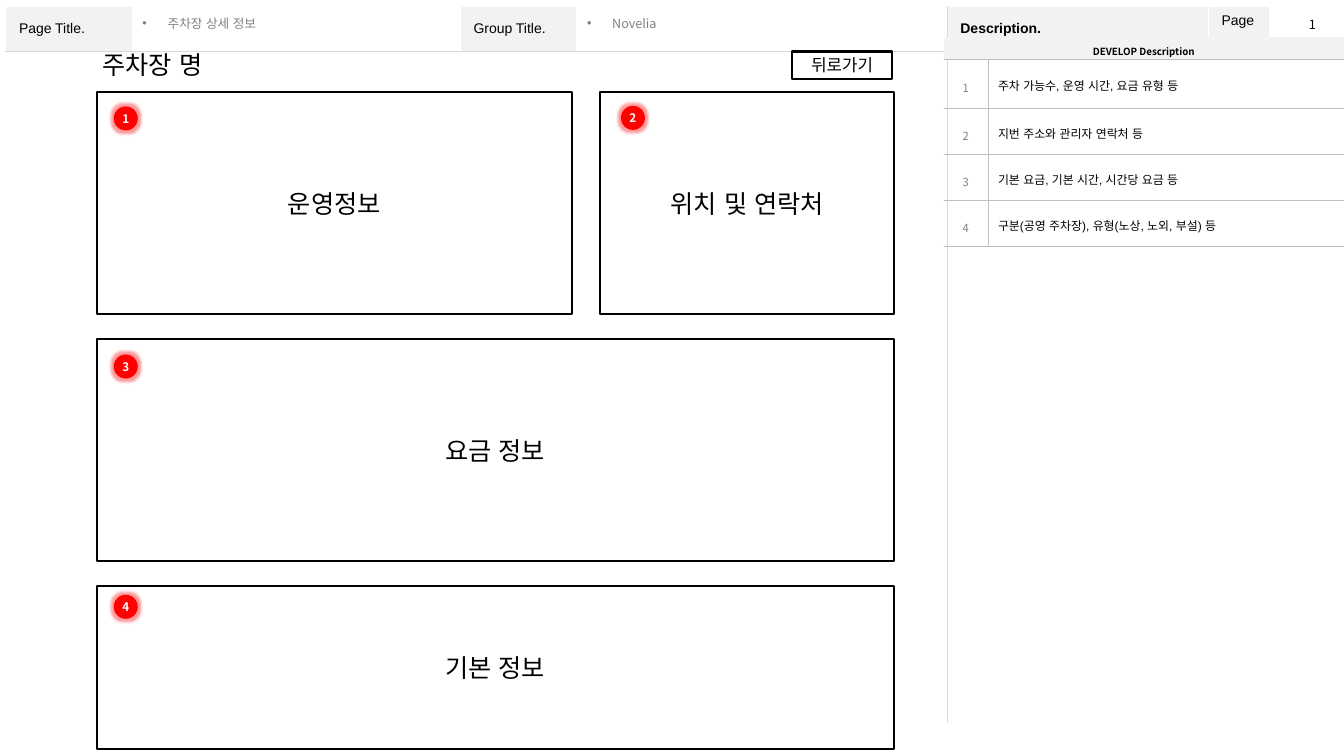
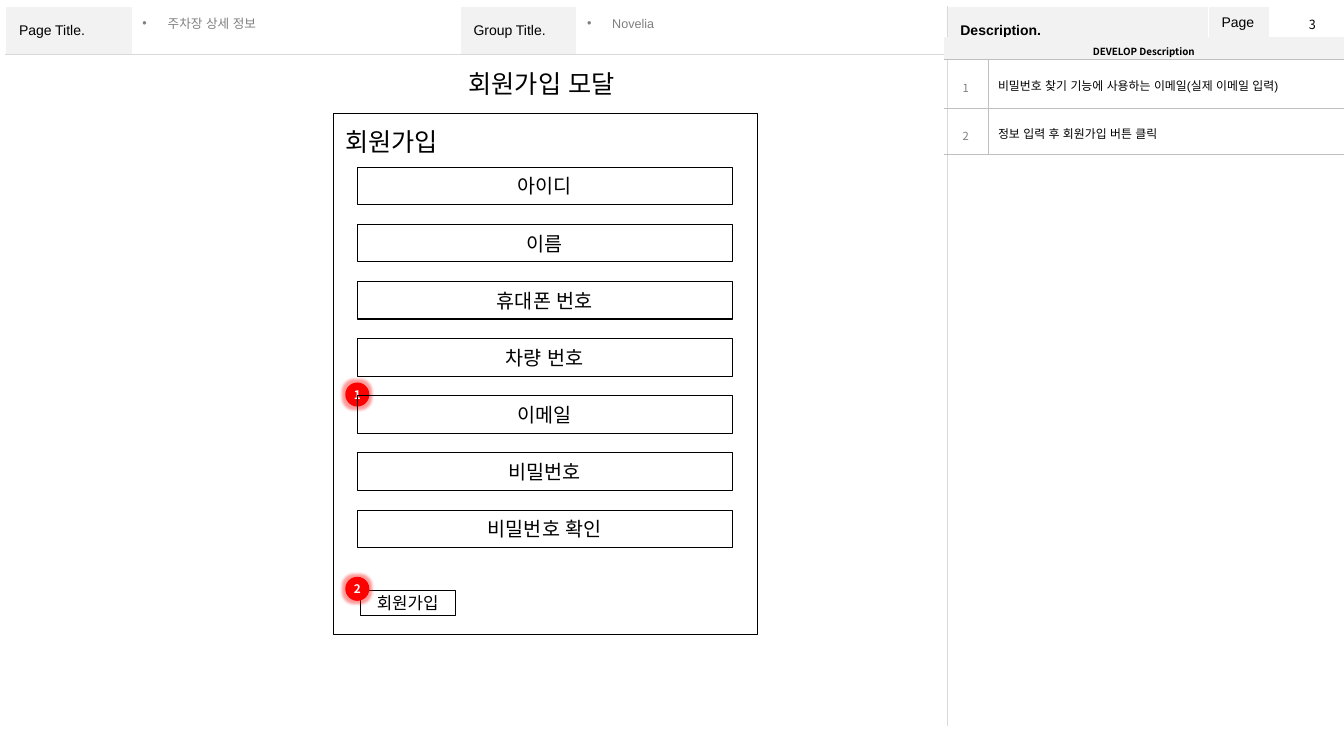
from dataclasses import dataclass

from lxml import etree
from pptx import Presentation
from pptx.dml.color import RGBColor as Rgb
from pptx.enum.lang import MSO_LANGUAGE_ID as Language
from pptx.enum.shapes import MSO_SHAPE as Shape
from pptx.enum.text import MSO_ANCHOR as Anchor, PP_ALIGN as Align
from pptx.oxml.ns import qn
from pptx.util import Pt


@dataclass(frozen=True)
class Theme:
    sans: str = "Arial"
    korean: str = "Noto Sans CJK KR"
    ink: str = "000000"
    muted: str = "808080"
    paper: str = "FFFFFF"
    band: str = "F2F2F2"
    frame_rule: str = "D9D9D9"
    note_rule: str = "BFBFBF"
    marker: str = "FF0000"
    heading: float = 18
    field: float = 14
    button: float = 12
    label: float = 10
    meta: float = 9
    note: float = 8.5
    badge: float = 8.4
    note_number: float = 8
    note_heading: float = 7
    hairline: float = 0.25
    thin: float = 0.75
    medium: float = 1.5


@dataclass(frozen=True)
class Box:
    x: float
    y: float
    w: float
    h: float

    def inner(self, dx, dy, w, h):
        return Box(self.x + dx, self.y + dy, w, h)

    def emu(self):
        return Pt(self.x), Pt(self.y), Pt(self.w), Pt(self.h)


THEME = Theme()
PAGE = Box(0, 0, 960, 540)
HEADER = Box(4.2, 4.7, 952, 512)
NOTES = Box(674, 26.2, 286, 216)
DETAIL = Box(69, 66, 569.6, 468.8)
MODAL = Box(238.4, 80.8, 303, 372.4)
HEADER_COLUMNS = (90.7, 234, 82.8, 265, 186.5, 43.9, 49)
HEADER_BODY = 480
NOTE_COLUMNS = (31.7, 254.3)
NOTE_ROWS = (16.4, 34.6, 33, 33, 33, 66)
BADGE = 17.2


def write(frame, text, size, font=THEME.korean, color=THEME.ink, bold=False,
          align=Align.LEFT, spacing=None):
    paragraph = frame.paragraphs[0]
    paragraph.text = text
    paragraph.alignment = align
    if spacing:
        paragraph.line_spacing = spacing
    paragraph.font.size = Pt(size)
    paragraph.font.bold = bold
    paragraph.font.name = font
    paragraph.font.language_id = Language.KOREAN
    paragraph.font.color.rgb = Rgb.from_string(color)
    defaults = paragraph._p.pPr.find(qn("a:defRPr"))
    etree.SubElement(defaults, qn("a:ea"), typeface=THEME.korean)
    return paragraph


def add_text(slide, box, text, size, **style):
    frame = slide.shapes.add_textbox(*box.emu()).text_frame
    frame.word_wrap = True
    frame.vertical_anchor = Anchor.MIDDLE
    return write(frame, text, size, **style)


def add_outline(slide, box, text="", size=THEME.heading, weight=THEME.thin):
    outline = slide.shapes.add_shape(Shape.RECTANGLE, *box.emu())
    outline.shadow.inherit = False
    outline.fill.background()
    outline.line.color.rgb = Rgb.from_string(THEME.ink)
    outline.line.width = Pt(weight)
    if text:
        outline.text_frame.vertical_anchor = Anchor.MIDDLE
        write(outline.text_frame, text, size, align=Align.CENTER)


def add_badge(slide, x, y, number):
    badge = slide.shapes.add_shape(Shape.OVAL, *Box(x, y, BADGE, BADGE).emu())
    badge.shadow.inherit = False
    badge.fill.solid()
    badge.fill.fore_color.rgb = Rgb.from_string(THEME.marker)
    badge.line.fill.background()
    effects = badge._element.spPr.find(qn("a:effectLst"))
    glow = etree.SubElement(effects, qn("a:glow"), rad=str(Pt(4)))
    tint = etree.SubElement(glow, qn("a:srgbClr"), val=THEME.marker)
    etree.SubElement(tint, qn("a:alpha"), val="40000")
    frame = badge.text_frame
    frame.word_wrap = False
    frame.vertical_anchor = Anchor.MIDDLE
    frame.margin_left = frame.margin_right = 0
    frame.margin_top = frame.margin_bottom = 0
    write(frame, str(number), THEME.badge, color=THEME.paper, bold=True,
          align=Align.CENTER)


def add_grid(slide, box, columns, rows):
    grid = slide.shapes.add_table(len(rows), len(columns), *box.emu()).table
    grid.first_row = grid.horz_banding = False
    for column, width in zip(grid.columns, columns):
        column.width = Pt(width)
    for row, height in zip(grid.rows, rows):
        row.height = Pt(height)
    return grid


def dress(cell, margins, fill=None, **rules):
    properties = cell._tc.get_or_add_tcPr()
    for side in "LRTB":
        color, weight = rules.get(side) or (None, 0)
        line = etree.SubElement(properties, qn(f"a:ln{side}"), w=str(Pt(weight)))
        if color:
            solid = etree.SubElement(line, qn("a:solidFill"))
            etree.SubElement(solid, qn("a:srgbClr"), val=color)
        else:
            etree.SubElement(line, qn("a:noFill"))
    if fill:
        cell.fill.solid()
        cell.fill.fore_color.rgb = Rgb.from_string(fill)
    else:
        cell.fill.background()
    cell.vertical_anchor = Anchor.MIDDLE
    cell.margin_left = cell.margin_right = Pt(margins[0])
    cell.margin_top = cell.margin_bottom = Pt(margins[1])


def add_header(slide, box, band_height, page_number, meta_font):
    grid = add_grid(slide, box, HEADER_COLUMNS, (band_height, HEADER_BODY))
    grid.cell(1, 0).merge(grid.cell(1, 3))
    grid.cell(1, 4).merge(grid.cell(1, 6))
    labels = {0: "Page Title.", 2: "Group Title.", 4: "Description.", 5: "Page."}
    white = (THEME.paper, 1)
    gray = (THEME.frame_rule, THEME.hairline)
    for column in range(len(HEADER_COLUMNS)):
        title, body = grid.cell(0, column), grid.cell(1, column)
        dress(title, (9.4, 2), THEME.band if column in labels else None,
              L=gray if column == 4 else white, R=gray if column == 3 else white,
              T=white, B=gray)
        dress(body, (9.4, 2), L=gray if column >= 4 else white,
              R=gray if column < 4 else white, T=gray, B=white)
        if column in labels:
            write(title.text_frame, labels[column], THEME.label,
                  font=THEME.sans, bold=column == 4)
    for dx, width, entry in ((90.5, 233, "주차장 상세 정보"), (408, 262, "Novelia")):
        paragraph = add_text(slide, box.inner(dx, 3.9, width, 17.3), entry, THEME.meta,
                             font=meta_font, color=THEME.muted, spacing=0.9)
        properties = paragraph._p.pPr
        properties.set("marL", str(Pt(18)))
        properties.set("indent", str(-Pt(18)))
        defaults = properties.find(qn("a:defRPr"))
        defaults.addprevious(etree.Element(qn("a:buFont"), typeface=THEME.sans))
        defaults.addprevious(etree.Element(qn("a:buChar"), char="•"))
    add_text(slide, box.inner(918.2, 3.9, 30, 18), str(page_number),
             THEME.meta, align=Align.CENTER)


def add_notes(slide, box, notes):
    grid = add_grid(slide, box, NOTE_COLUMNS, NOTE_ROWS)
    gray = (THEME.note_rule, THEME.hairline)
    heading = grid.cell(0, 0)
    heading.merge(grid.cell(0, 1))
    for column in range(2):
        dress(grid.cell(0, column), (8.6, 0), THEME.band, B=gray)
    write(heading.text_frame, "DEVELOP Description", THEME.note_heading,
          bold=True, align=Align.CENTER, spacing=1.5)
    for row, note in enumerate(notes, 1):
        number, detail = grid.cell(row, 0), grid.cell(row, 1)
        dress(number, (8.6, 4.3), R=gray, T=gray, B=gray)
        dress(detail, (7.2, 3.6), L=gray, T=gray, B=gray)
        write(number.text_frame, str(row), THEME.note_number, color=THEME.muted,
              align=Align.CENTER, spacing=1.5)
        write(detail.text_frame, note, THEME.note, font=THEME.sans,
              align=Align.JUSTIFY, spacing=1.2)
    first_free = len(notes) + 1
    for row in range(first_free, len(NOTE_ROWS)):
        grid.cell(row, 0).merge(grid.cell(row, 1))
        for column in range(2):
            dress(grid.cell(row, column), (8.6, 3.6),
                  T=gray if row == first_free else None)


def add_parking_detail(slide, box):
    gap, tall = 20.2, 158.6
    narrow = 209.7
    second, third = tall + 17.8, 2 * (tall + 17.8)
    sections = (
        ("운영정보", 0, 0, box.w - narrow - gap, tall, 12.2, 10),
        ("위치 및 연락처", box.w - narrow, 0, narrow, tall, 14.6, 9.6),
        ("요금 정보", 0, second, box.w, tall, 12.2, 10.8),
        ("기본 정보", 0, third, box.w, box.h - third, 12.2, 6),
    )
    for number, (name, x, y, width, height, shift, drop) in enumerate(sections, 1):
        add_badge(slide, box.x + x + shift, box.y + y + drop, number)
        add_outline(slide, box.inner(x, y, width, height), name, weight=THEME.medium)
    add_text(slide, box.inner(-2.8, -34.3, 303, 28.8), "주차장 명", THEME.heading)
    add_outline(slide, box.inner(496.8, -29.2, 71.6, 19.4), "뒤로가기",
                THEME.button, THEME.medium)


def add_signup_modal(slide, box):
    fields = ("아이디", "이름", "휴대폰 번호", "차량 번호",
              "이메일", "비밀번호", "비밀번호 확인")
    pitch = 40.8
    add_badge(slide, box.x + 8.2, box.y + 192.4, 1)
    add_outline(slide, box)
    add_text(slide, box.inner(51, -42, 195, 42), "회원가입 모달", THEME.heading,
             align=Align.CENTER)
    add_text(slide, box.inner(1, -0.4, 123, 42), "회원가입", THEME.heading)
    for index, field in enumerate(fields):
        add_outline(slide, box.inner(16.8, 38.7 + index * pitch, 268, 26.8),
                    field, THEME.field)
    add_outline(slide, box.inner(18.8, 341, 68, 18), "회원가입", THEME.button)
    add_badge(slide, box.x + 8.2, box.y + 331.2, 2)


def main():
    deck = Presentation()
    deck.slide_width, deck.slide_height = Pt(PAGE.w), Pt(PAGE.h)
    screens = (
        (1, 32, THEME.korean, add_parking_detail, DETAIL, (
            "주차 가능수, 운영 시간, 요금 유형 등 ",
            "지번 주소와 관리자 연락처 등",
            "기본 요금, 기본 시간, 시간당 요금 등 ",
            "구분(공영 주차장), 유형(노상, 노외, 부설) 등",
        )),
        (3, 34, THEME.sans, add_signup_modal, MODAL, (
            "비밀번호 찾기 기능에 사용하는 이메일(실제 이메일 입력)",
            "정보 입력 후 회원가입 버튼 클릭",
        )),
    )
    for page_number, band_height, meta_font, add_screen, area, notes in screens:
        slide = deck.slides.add_slide(deck.slide_layouts[6])
        add_header(slide, HEADER, band_height, page_number, meta_font)
        add_notes(slide, NOTES, notes)
        add_screen(slide, area)
    deck.save("out.pptx")


if __name__ == "__main__":
    main()
